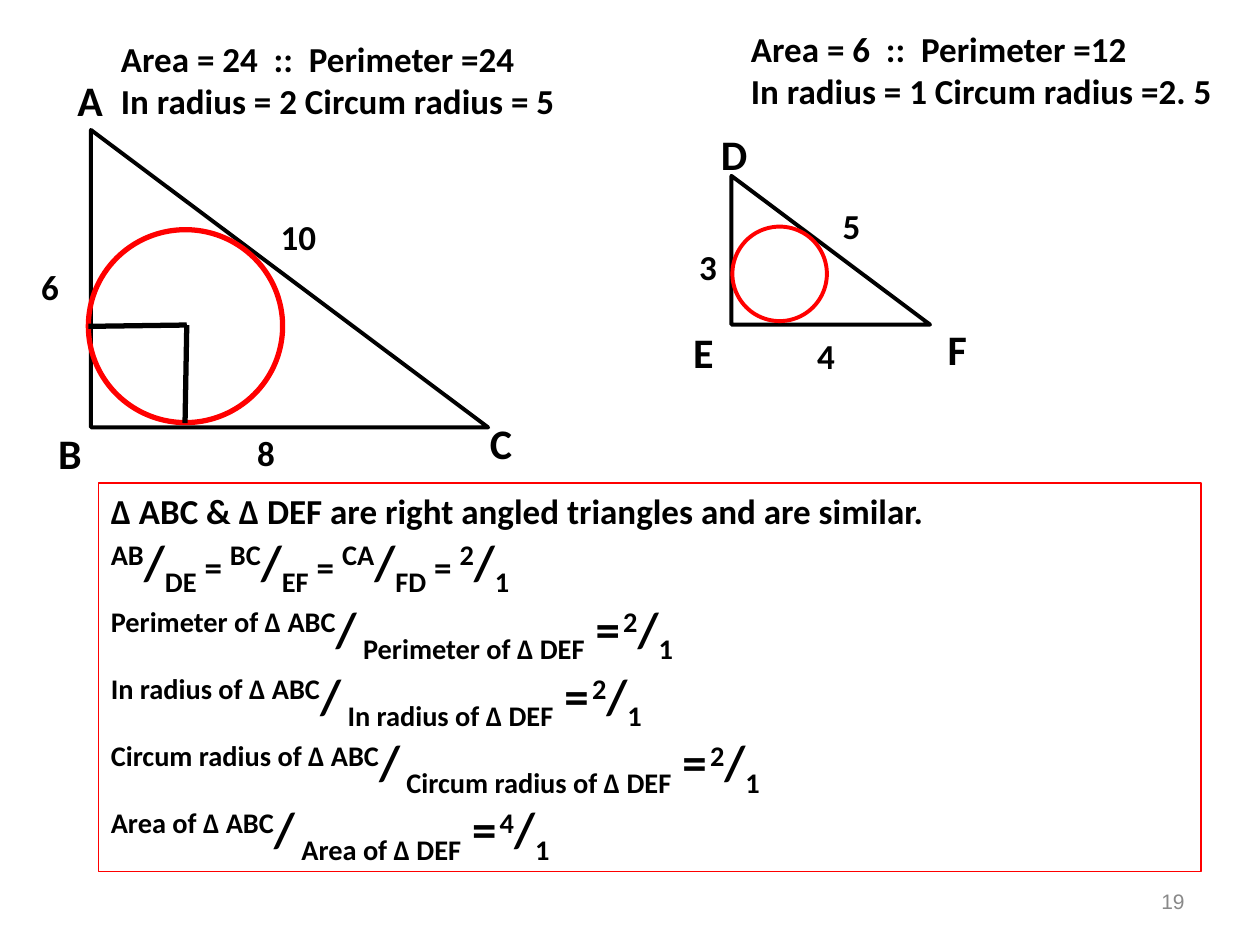
from pptx import Presentation
from pptx.dml.color import RGBColor
from pptx.enum.shapes import MSO_CONNECTOR, MSO_SHAPE
from pptx.enum.text import MSO_ANCHOR, MSO_AUTO_SIZE, PP_ALIGN
from pptx.util import Pt
from lxml import etree

TRI, OVAL, RECT = MSO_SHAPE.ISOSCELES_TRIANGLE, MSO_SHAPE.OVAL, MSO_SHAPE.RECTANGLE
LINE = MSO_CONNECTOR.STRAIGHT
MID, TOP = MSO_ANCHOR.MIDDLE, MSO_ANCHOR.TOP
LEFT, CENTER, RIGHT = PP_ALIGN.LEFT, PP_ALIGN.CENTER, PP_ALIGN.RIGHT
GROW = MSO_AUTO_SIZE.SHAPE_TO_FIT_TEXT
COLORS = {"ink": "000000", "red": "FF0000", "gray": "898989"}
NS = "http://schemas.openxmlformats.org/drawingml/2006/main"
UP, DOWN = 30, -25  # raised and lowered text, percent


class Page:
    def __init__(self, slide, face="Calibri"):
        self.slide = slide
        self.face = face

    def color(self, name):
        return RGBColor.from_string(COLORS[name])

    def style(self, run, size, color="ink", face=None, bold=True):
        font = run.font
        font.name, font.size, font.bold = face or self.face, Pt(size), bold
        font.color.rgb = self.color(color)

    def text(self, box, lines, size, align=CENTER, **look):
        x, y, w, h = map(Pt, box)
        frame = self.slide.shapes.add_textbox(x, y, w, h).text_frame
        frame.word_wrap = True
        frame.vertical_anchor = MID
        frame.text = lines
        for para in frame.paragraphs:
            para.alignment = align
            for run in para.runs:
                self.style(run, size, **look)

    def shape(self, kind, box, color, width):
        x, y, w, h = map(Pt, box)
        shape = self.slide.shapes.add_shape(kind, x, y, w, h)
        shape.shadow.inherit = False
        shape.fill.background()
        shape.line.color.rgb = self.color(color)
        shape.line.width = Pt(width)
        return shape

    def right(self, box):
        self.shape(TRI, box, "ink", 2.25).adjustments[0] = 0

    def line(self, start, end, width):
        line = self.slide.shapes.add_connector(LINE, *map(Pt, start + end))
        line.line.color.rgb = self.color("ink")
        line.line.width = Pt(width)
        etree.SubElement(line._element.spPr, f"{{{NS}}}effectLst")

    def panel(self, box, rows):
        frame = self.shape(RECT, box, "red", 0.75).text_frame
        frame.word_wrap = True
        frame.vertical_anchor = TOP
        frame.auto_size = GROW
        for i, row in enumerate(rows):
            para = frame.add_paragraph() if i else frame.paragraphs[0]
            para.alignment = LEFT
            for words, size, base in row:
                run = para.add_run()
                run.text = words
                self.style(run, size)
                if base:
                    run._r.get_or_add_rPr().set("baseline", str(base * 1000))


def ratio(top, low):
    return [(top, 28, UP), ("/", 28, 0), (low, 28, DOWN)]


def main():
    deck = Presentation()
    deck.slide_width, deck.slide_height = Pt(720), Pt(540)
    page = Page(deck.slides.add_slide(deck.slide_layouts[6]))

    # Page number
    page.text((516, 500.5, 168, 28.75), "19", 12, RIGHT,
              color="gray", face="Arial", bold=False)

    # Triangles
    page.right((418, 100.5, 113.5, 85))
    page.right((52, 74.25, 227, 170))

    # Corner names and side lengths
    labels = {
        24: [("F", 547, 199), ("D", 419.5, 88), ("E", 402, 201),
             ("C", 286.25, 253), ("A", 51.5, 57), ("B", 40, 258.5)],
        20: [("3", 404.5, 152), ("4", 472, 203), ("5", 486.5, 129),
             ("6", 28.5, 163.5), ("8", 152, 258.5), ("10", 170.5, 135)],
    }
    wide, high = 40, 24
    for size, marks in labels.items():
        for name, x, y in marks:
            page.text((x - wide / 2, y - high / 2, wide, high), name, size)

    # Inscribed circles and radii
    page.shape(OVAL, (418.5, 129.5, 54, 54), "red", 2.25)
    page.shape(OVAL, (50.5, 131.25, 111, 110.25), "red", 3)
    hub = (106.75, 185.75)
    page.line((50.5, 186.5), hub, 3)
    page.line(hub, (105.75, 241.75), 3)

    # Similarity ratios
    sides = []
    for top, low in (("AB", "DE"), ("BC", "EF"), ("CA", "FD")):
        sides += ratio(top, low) + [(" = ", 20, 0)]
    rows = [
        [("∆ ABC & ∆ DEF are right angled triangles and are similar.", 20, 0)],
        sides + ratio("2", "1"),
    ]
    for name, value in (("Perimeter", "2"), ("In radius", "2"),
                        ("Circum radius", "2"), ("Area", "4")):
        rows.append(ratio(f"{name} of ∆ ABC", f" {name} of ∆ DEF")
                    + [(" =", 28, 0), (" ", 14, UP)] + ratio(value, "1"))
    page.panel((56.25, 276, 630, 222.25), rows)

    # Measures of each triangle
    page.text((62, 16.75, 264, 57), "Area = 24  ::  Perimeter =24\n"
              "In radius = 2 Circum radius = 5", 20, LEFT)
    page.text((422, 16.75, 281.5, 45.5), "Area = 6  ::  Perimeter =12\n"
              "In radius = 1 Circum radius =2. 5", 20, LEFT)

    deck.save("out.pptx")


if __name__ == "__main__":
    main()
